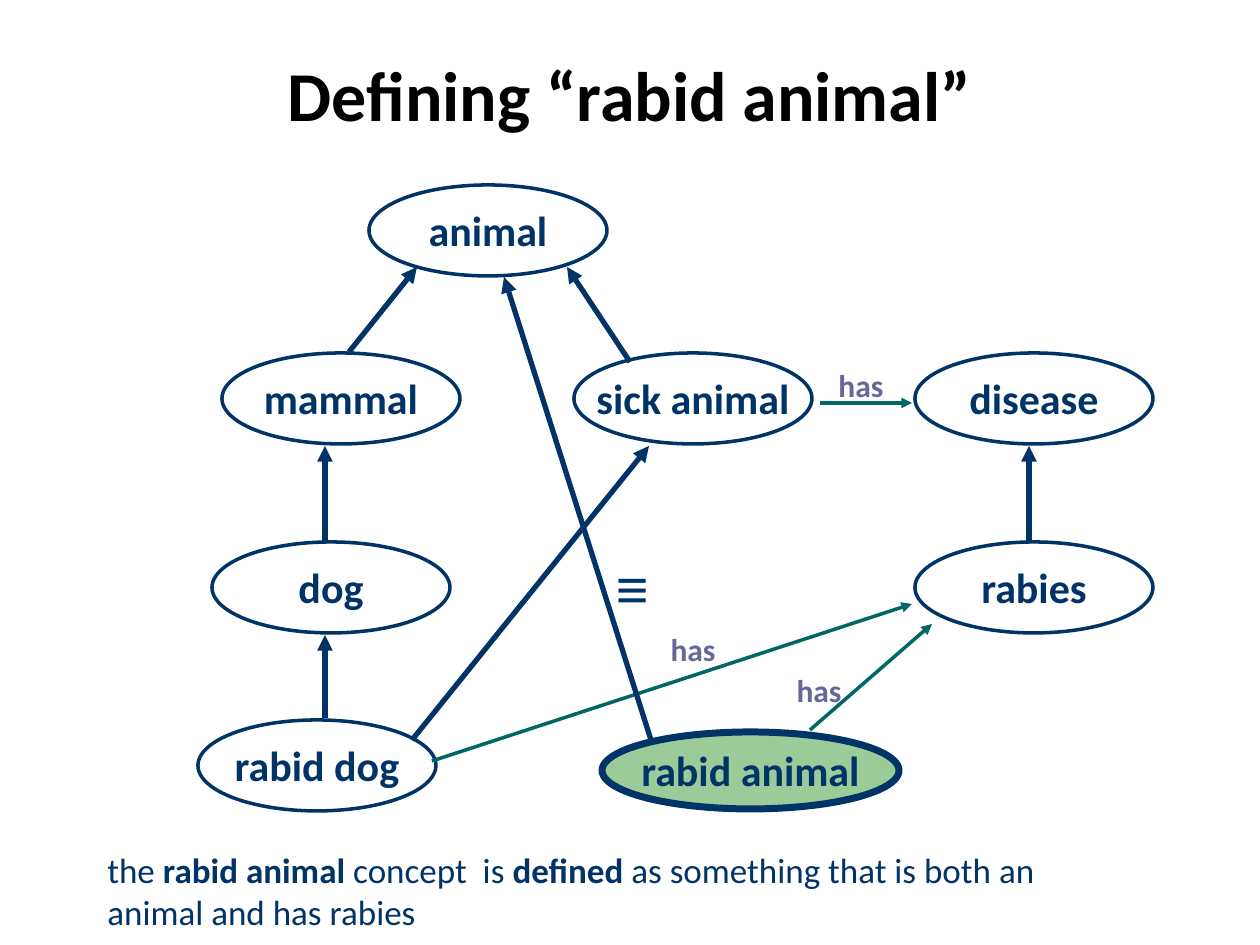
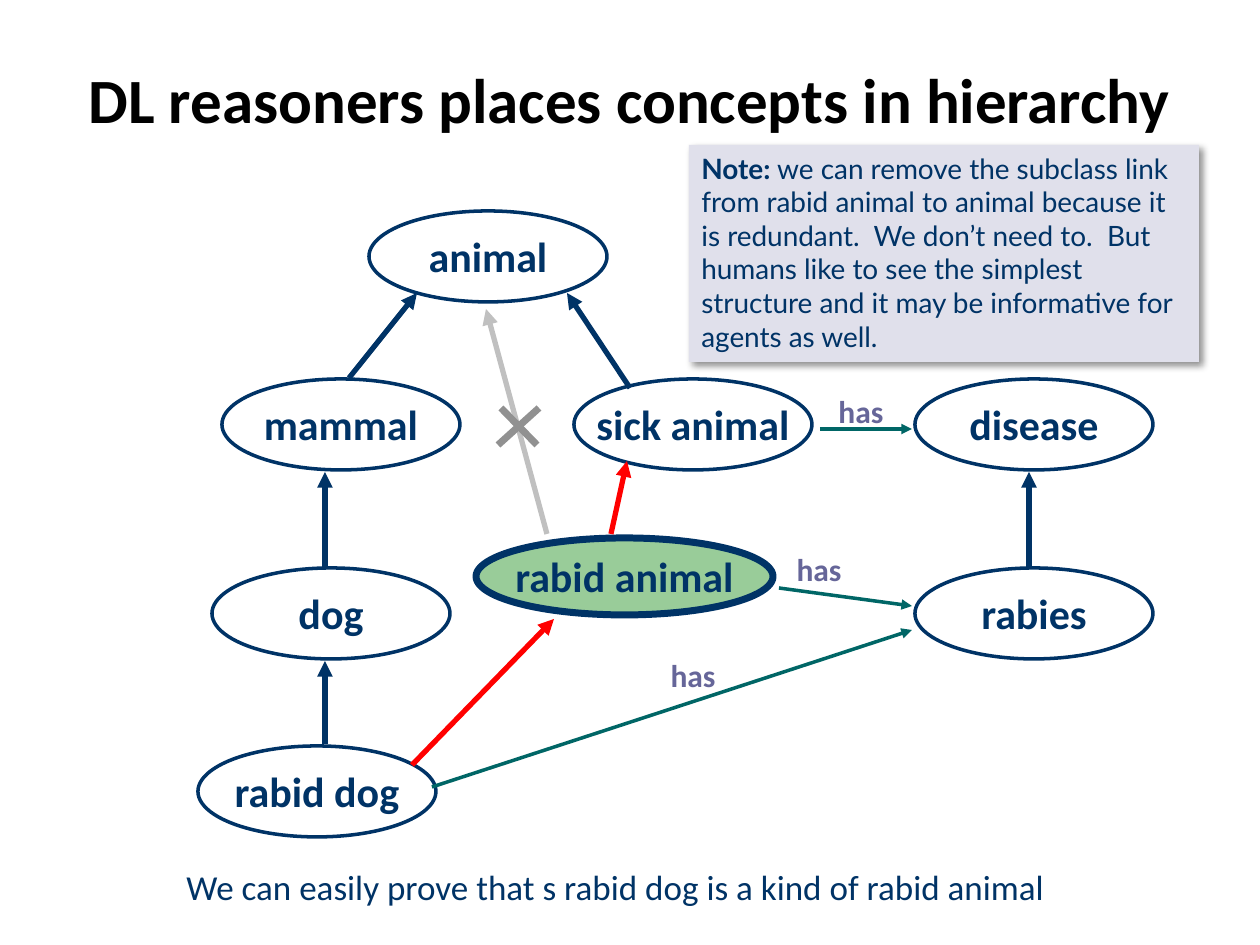
from lxml import etree
from pptx import Presentation, util as u
from pptx.dml import color
from pptx.enum import shapes, text
from pptx.oxml import ns

SCALE = 914400 / 126
COLORS = {
    "navy": "003366", "teal": "006666", "violet": "666699", "green": "99CC99",
    "red": "FF0000", "silver": "C0C0C0", "gray": "919191", "lilac": "E0E0EB",
    "white": "FFFFFF", "black": "000000",
}
FONT = "Calibri"
TITLE_AREA = (44, 35, 1171, 108)
NODE_SIZE = (238, 91)
DEFINED_SIZE = (297, 77)
HAS_SIZE = (106, 52)
LABEL_HEIGHT = 64

NODES = [
    ("animal", 369, 185, 169, "white"),
    ("mammal", 222, 353, 227, "white"),
    ("dog", 212, 542, 169, "white"),
    ("sick animal", 574, 353, 258, "white"),
    ("rabies", 915, 542, 169, "white"),
    ("disease", 915, 353, 185, "white"),
    ("rabid dog", 198, 720, 224, None),
]
LINKS = [
    (349, 352, 417, 267, "navy", 3),
    (630, 362, 567, 267, "navy", 3),
    (325, 541, 325, 446, "navy", 3),
    (1029, 541, 1029, 446, "navy", 3),
    (820, 403, 912, 403, "teal", 2),
    (325, 718, 325, 635, "navy", 3),
    (432, 761, 912, 604, "teal", 2),
]
HAS_LABELS = [(808, 360), (640, 624)]

SLIDES = [
    {
        "title": "Defining “rabid animal”", "title_size": 40, "shift": 0,
        "defined": (602, 732), "has": (766, 665),
        "links": [
            (412, 740, 649, 446, "navy", 3),
            (651, 740, 504, 277, "navy", 3),
            (810, 730, 932, 624, "teal", 2),
        ],
        "caption": [("the ", False), ("rabid animal ", True), ("concept  is ", False),
                    ("defined", True),
                    (" as something that is both an animal and has rabies", False)],
        "caption_area": (95, 842, 1033, 97), "caption_align": "LEFT",
    },
    {
        "title": "DL reasoners places concepts in hierarchy", "title_size": 36, "shift": 26,
        "defined": (476, 538), "has": (766, 544),
        "links": [
            (412, 765, 554, 619, "red", 3),
            (611, 534, 627, 461, "red", 3),
            (779, 588, 912, 606, "teal", 2),
            (547, 534, 486, 309, "silver", 3),
        ],
        "caption": [("We can easily prove that s rabid dog is a kind of rabid animal", False)],
        "caption_area": (25, 859, 1181, 55), "caption_align": "CENTER",
    },
]
EQUIVALENT_AREA = (588, 547, 74, 81)
CROSS = [(539, 408, 498, 445), (501, 408, 537, 445)]
NOTE_AREA = (689, 145, 510, 217)
NOTE = [
    ("Note:", True),
    (" we can remove the subclass link from rabid animal to animal because it is "
     "redundant.  We don’t need to.  But humans like to see the simplest structure "
     "and it may be informative for agents as well.", False),
]


def emu(*pixels):
    return [u.Emu(round(value * SCALE)) for value in pixels]


def rgb(name):
    return color.RGBColor.from_string(COLORS[name])


def style(span, size, tint, bold, font=FONT):
    span.font.size = u.Pt(size)
    span.font.name = font
    span.font.bold = bold
    span.font.color.rgb = rgb(tint)


def write(box, spans, size, tint="navy", align="CENTER", font=FONT, wrap=True):
    frame = box.text_frame
    frame.word_wrap = wrap
    frame.auto_size = text.MSO_AUTO_SIZE.SHAPE_TO_FIT_TEXT
    frame.vertical_anchor = text.MSO_ANCHOR.TOP
    para = frame.paragraphs[0]
    para.alignment = getattr(text.PP_ALIGN, align)
    for words, bold in spans:
        span = para.add_run()
        span.text = words
        style(span, size, tint, bold, font)


def add_text(parent, area, spans, size, **options):
    box = parent.shapes.add_textbox(*emu(*area))
    write(box, spans, size, **options)


def add_node(page, name, left, top, label_width, fill, size=NODE_SIZE, weight=2):
    width, height = size
    group = page.shapes.add_group_shape()
    oval = group.shapes.add_shape(shapes.MSO_SHAPE.OVAL, *emu(left, top, width, height))
    oval.shadow.inherit = False
    if fill:
        oval.fill.solid()
        oval.fill.fore_color.rgb = rgb(fill)
    else:
        oval.fill.background()
    oval.line.color.rgb = rgb("navy")
    oval.line.width = u.Pt(weight)
    label = (left + (width - label_width) / 2, top + (height - LABEL_HEIGHT) / 2,
             label_width, LABEL_HEIGHT)
    add_text(group, label, [(name, True)], 24)


def add_line(parent, x1, y1, x2, y2, tint, weight, arrow=True):
    line = parent.shapes.add_connector(shapes.MSO_CONNECTOR.STRAIGHT, *emu(x1, y1, x2, y2))
    line.line.color.rgb = rgb(tint)
    line.line.width = u.Pt(weight)
    if arrow:
        etree.SubElement(line.line._get_or_add_ln(), ns.qn("a:tailEnd"), type="triangle")
    etree.SubElement(line._element.spPr, ns.qn("a:effectLst"))


def add_note(page):
    note = page.shapes.add_shape(shapes.MSO_SHAPE.RECTANGLE, *emu(*NOTE_AREA))
    note.fill.solid()
    note.fill.fore_color.rgb = rgb("lilac")
    note.line.fill.background()
    note.shadow.inherit = False
    effects = note._element.spPr.find(ns.qn("a:effectLst"))
    shadow = etree.SubElement(effects, ns.qn("a:outerShdw"), blurRad=str(u.Pt(4)),
                              dist=str(u.Pt(3)), dir="2700000", algn="tl", rotWithShape="0")
    tint = etree.SubElement(shadow, ns.qn("a:srgbClr"), val=COLORS["black"])
    etree.SubElement(tint, ns.qn("a:alpha"), val="43000")
    write(note, NOTE, 16, align="LEFT", font="Lato")


def add_title(page, words, size):
    title = page.shapes.title
    title.left, title.top, title.width, title.height = emu(*TITLE_AREA)
    frame = title.text_frame
    frame.text = words
    frame.word_wrap = True
    frame.auto_size = text.MSO_AUTO_SIZE.NONE
    frame.vertical_anchor = text.MSO_ANCHOR.BOTTOM
    para = frame.paragraphs[0]
    para.alignment = text.PP_ALIGN.CENTER
    para.line_spacing = 0.9
    style(para.runs[0], size, "black", True)


def add_hierarchy(deck, content):
    page = deck.slides.add_slide(deck.slide_layouts[5])
    shift = content["shift"]
    add_title(page, content["title"], content["title_size"])
    for name, left, top, label_width, fill in NODES:
        add_node(page, name, left, top + shift, label_width, fill)
    for x1, y1, x2, y2, tint, weight in LINKS:
        add_line(page, x1, y1 + shift, x2, y2 + shift, tint, weight)
    add_node(page, "rabid animal", *content["defined"], 287, "green", DEFINED_SIZE, 4)
    for link in content["links"]:
        add_line(page, *link)
    has_places = [(left, top + shift) for left, top in HAS_LABELS] + [content["has"]]
    for place in has_places:
        add_text(page, place + HAS_SIZE, [("has", True)], 18, tint="violet")
    add_text(page, content["caption_area"], content["caption"], 20,
             align=content["caption_align"])
    return page


deck = Presentation()
deck.slide_width, deck.slide_height = u.Inches(10), u.Inches(7.5)
definition, placement = [add_hierarchy(deck, content) for content in SLIDES]

add_text(definition, EQUIVALENT_AREA, [("\u00a0≡", True)], 32,
         align="LEFT", font="Arial", wrap=False)

cross = placement.shapes.add_group_shape()
for stroke in CROSS:
    add_line(cross, *stroke, "gray", 4, arrow=False)
add_note(placement)

deck.save("out.pptx")
